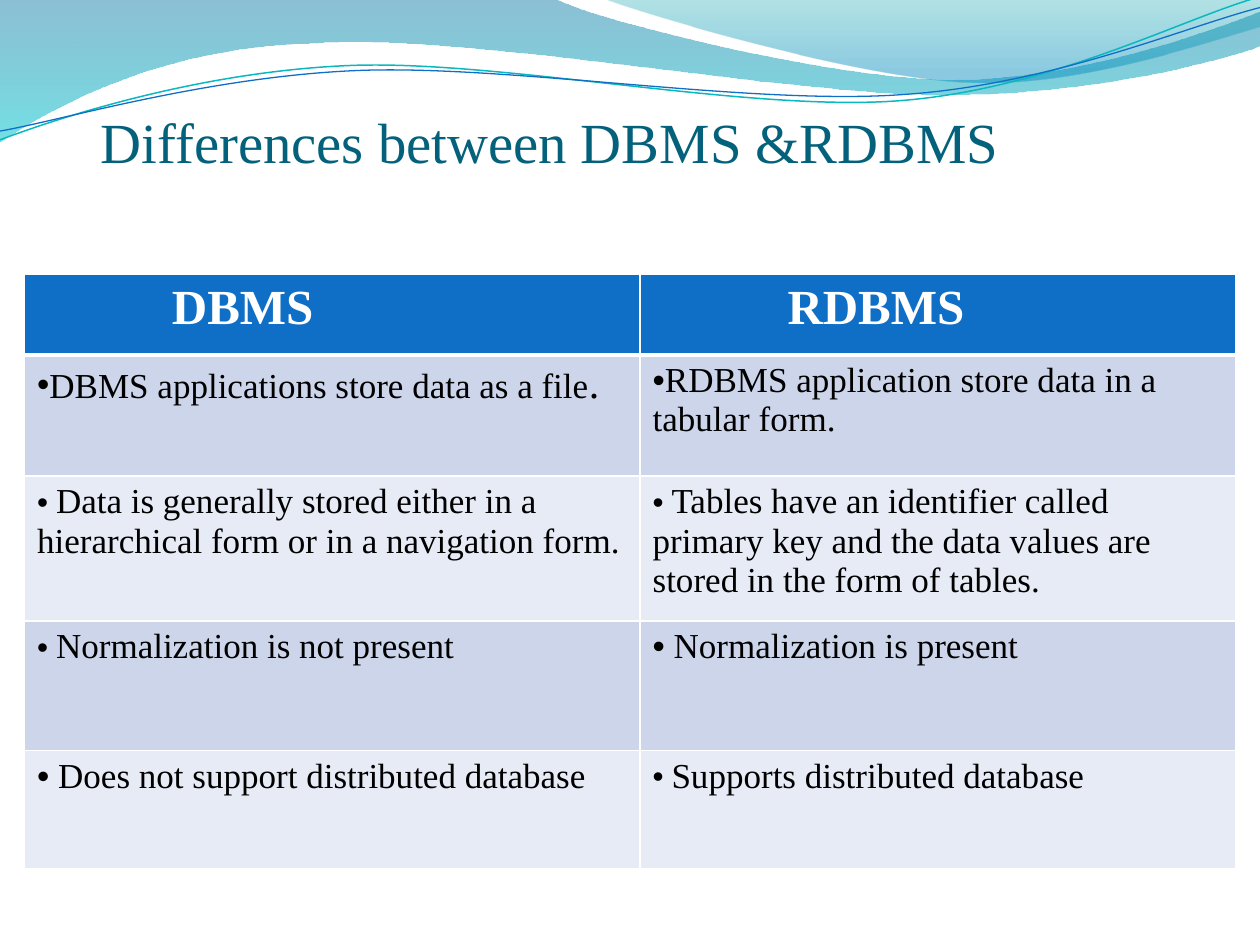
from math import cos, radians, sin

from lxml.etree import SubElement
from pptx import Presentation
from pptx.dml.color import RGBColor
from pptx.enum.text import MSO_ANCHOR as Anchor, PP_ALIGN as Align
from pptx.oxml.ns import qn
from pptx.util import Inches, Pt

COLORS = {
    "title": "04617B", "header": "0F6FC6", "band": "CCD5EA", "plain": "E7EBF5",
    "white": "FFFFFF", "black": "000000", "teal": "0AB8BF", "blue": "0F6FC6",
    "deep": "0074A1", "aqua": "00C6CF", "sea": "00A1A9", "sky": "008BBF",
}
SERIF, BODY = "Times New Roman", "TeX Gyre Pagella"
WIDTH, HEIGHT = Inches(10), Inches(7.5)
COLUMN, ROW = WIDTH / 100, HEIGHT / 75
TILT = -2.7

SWEEPS = [
    ([(0, 0), (44, -0.1),
      (47.6, 1.7, 66.4, 6.3, 75.8, 6.3), (85.3, 6.3, 95.8, 2.6, 100, 0.9), (100.1, 3.6),
      (98.3, 4.4, 87, 7.6, 74.6, 7.5), (62.2, 7.5, 38.2, 2.8, 25.7, 3.4),
      (12.9, 3.6, 4.6, 8.3, -0.1, 11.3), (0, 0)],
     [(0, "deep", 45), (1, "aqua", 55)]),
    ([(47.9, -0.1), (50.9, 1.1, 68.2, 6.2, 76.9, 6.5), (85.6, 6.9, 96.1, 3.2, 100, 2.1),
      (100, 0), (47.9, -0.1)],
     [(0, "sea", 30), (0.8, "sky", 45)]),
]
STRANDS = [
    ([(0, 11.1), (4.8, 9.3, 15.8, 5.7, 27.7, 5.2), (39.5, 4.7, 59.3, 8.9, 71.3, 8),
      (83.3, 7.1, 93.8, 1.5, 99.8, -0.2)], (49.9, 5.75), "teal", 0.85),
    ([(0, 10.4), (4.7, 9.6, 16.4, 6.1, 28.3, 5.6), (40.3, 5.1, 59.7, 8.4, 71.7, 7.5),
      (83.6, 6.7, 94.1, 2.1, 100, 0.6)], (49.95, 5.9), "blue", 0.75),
]
HEADINGS = ["DBMS", "RDBMS"]
COMPARISON = [
    ([("DBMS applications store data as a file", 20, SERIF), (".", 24, SERIF)],
     [("RDBMS application store data in a tabular form.", 20, SERIF)]),
    ([(" ", 18, BODY),
      ("Data is generally stored either in a hierarchical form or in a navigation form.",
       20, SERIF)],
     [(" ", 18, BODY),
      ("Tables have an identifier called primary key and the data values are "
       "stored in the form of tables.", 20, SERIF)]),
    ([(" ", 18, BODY), ("Normalization is not present", 20, SERIF)],
     [(" Normalization is present", 20, SERIF)]),
    ([(" Does not support distributed database", 20, SERIF)],
     [(" ", 18, BODY), ("Supports distributed database", 20, SERIF)]),
]


def rgb(name):
    return RGBColor.from_string(COLORS[name])


def write(frame, runs, color="black", bold=False, indent=0, bullet=False):
    paragraph = frame.paragraphs[0]
    paragraph.alignment = Align.LEFT
    for words, size, font in runs:
        run = paragraph.add_run()
        run.text = words
        run.font.size, run.font.name, run.font.bold = Pt(size), font, bold
        run.font.color.rgb = rgb(color)
    props = paragraph._p.get_or_add_pPr()
    props.set("marL", str(Inches(indent)))
    props.set("indent", "0")
    if bullet:
        SubElement(props, qn("a:buFont"), typeface="Arial")
        SubElement(props, qn("a:buChar"), char="•")
    else:
        SubElement(props, qn("a:buNone"))


def bend(shape, steps):
    outline_path = next(shape._element.iter(qn("a:path")))
    knots = iter(outline_path.findall(qn("a:lnTo")))
    for step in steps[1:]:
        if len(step) == 2:
            next(knots)
            continue
        controls = [next(knots) for _ in range(3)]
        curve = SubElement(outline_path, qn("a:cubicBezTo"))
        controls[0].addprevious(curve)
        for knot in controls:
            curve.append(knot[0])
            outline_path.remove(knot)


def outline(slide, box, steps, close=False, pivot=(0, 0), tilt=0):
    left, top, width = box
    unit = width / 100
    turn = radians(-tilt)
    points = []
    for step in steps:
        for x, y in zip(step[::2], step[1::2]):
            across, down = x - pivot[0], y - pivot[1]
            points.append((
                round(left + unit * (pivot[0] + across * cos(turn) - down * sin(turn))),
                round(top + unit * (pivot[1] + across * sin(turn) + down * cos(turn)))))
    builder = slide.shapes.build_freeform(*points[0])
    builder.add_line_segments(points[1:], close=close)
    shape = builder.convert_to_shape()
    bend(shape, steps)
    shape.rotation = tilt
    shape.shadow.inherit = False
    return shape


def add_waves(slide, box):
    for steps, stops in SWEEPS:
        sweep = outline(slide, box, steps, close=True)
        sweep.line.fill.background()
        sweep.fill.gradient()
        sweep.fill.gradient_angle = 270
        for stop, (position, color, opacity) in zip(sweep.fill.gradient_stops, stops):
            stop.position = position
            stop.color.rgb = rgb(color)
            tint = stop._gs.find(qn("a:srgbClr"))
            SubElement(tint, qn("a:alpha"), val=str(opacity * 1000))
    for steps, pivot, color, weight in STRANDS:
        strand = outline(slide, box, steps, pivot=pivot, tilt=TILT)
        strand.fill.background()
        strand.line.color.rgb = rgb(color)
        strand.line.width = Pt(weight)


def add_heading(slide, box):
    heading = slide.shapes.title
    heading.left, heading.top, heading.width, heading.height = box
    frame = heading.text_frame
    frame.word_wrap = True
    frame.vertical_anchor = Anchor.BOTTOM
    frame.margin_left = frame.margin_right = frame.margin_bottom = 0
    frame.margin_top = Inches(0.05)
    write(frame, [("Differences between DBMS &RDBMS", 32.4, SERIF)],
          color="title", indent=0.45)


def style_cell(cell, fill, top=1, bottom=1):
    props = cell._tc.get_or_add_tcPr()
    for side, weight in (("L", 1), ("R", 1), ("T", top), ("B", bottom)):
        edge = SubElement(props, qn("a:ln" + side), w=str(Pt(weight)))
        paint = SubElement(edge, qn("a:solidFill"))
        SubElement(paint, qn("a:srgbClr"), val=COLORS["white"])
    cell.fill.solid()
    cell.fill.fore_color.rgb = rgb(fill)


def add_comparison(slide, box):
    table = slide.shapes.add_table(len(COMPARISON) + 1, 2, *box).table
    for column, span in zip(table.columns, (48.8, 47.2)):
        column.width = round(box[2] * span / 96)
    for row, span in zip(table.rows, (6.4, 9.6, 11.5, 10.3, 9.4)):
        row.height = round(box[3] * span / 47.2)
    for col, words in enumerate(HEADINGS):
        cell = table.cell(0, col)
        style_cell(cell, "header", bottom=3)
        write(cell.text_frame, [(words, 28, SERIF)], color="white", bold=True, indent=1.07)
    for row, pair in enumerate(COMPARISON, 1):
        for col, runs in enumerate(pair):
            cell = table.cell(row, col)
            style_cell(cell, "band" if row % 2 else "plain", top=3 if row == 1 else 1)
            write(cell.text_frame, runs, bullet=True)


def grid_box(left, top, columns, rows):
    return (round(COLUMN * left), round(ROW * top),
            round(COLUMN * columns), round(ROW * rows))


deck = Presentation()
deck.slide_width, deck.slide_height = WIDTH, HEIGHT
slide = deck.slides.add_slide(deck.slide_layouts[5])
add_waves(slide, (0, 0, WIDTH))
add_heading(slide, grid_box(3.5, 7.65, 91.5, 6.2))
add_comparison(slide, grid_box(1.95, 21.77, 96.1, 47.2))
deck.save("out.pptx")
